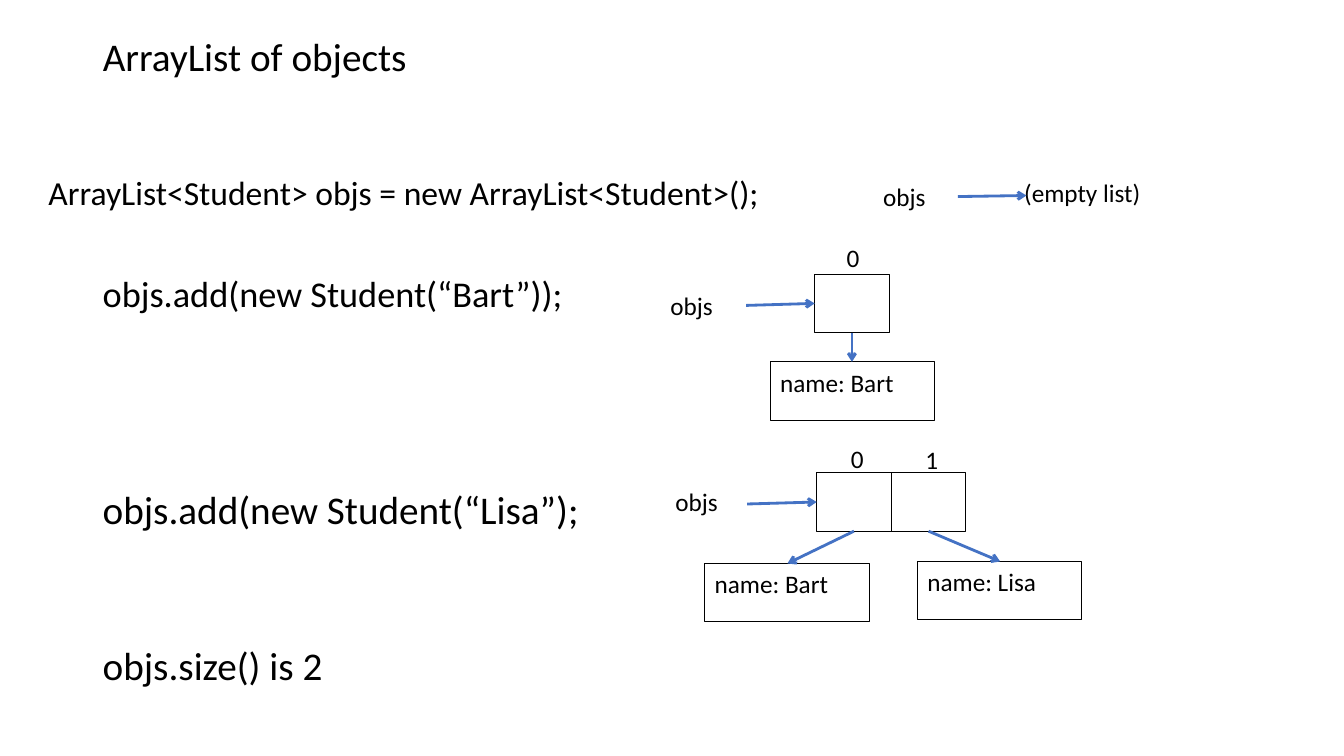
from lxml import etree
from pptx import Presentation
from pptx.dml.color import RGBColor
from pptx.enum.shapes import MSO_CONNECTOR, MSO_SHAPE
from pptx.enum.text import MSO_ANCHOR, MSO_AUTO_SIZE, PP_ALIGN
from pptx.oxml.ns import qn
from pptx.util import Inches, Pt

COLORS = {"text": "000000", "outline": "000000", "arrow": "4472C4"}
CELL_W, BOX_H, STUDENT_W = 0.74, 0.58, 1.63

prs = Presentation()
prs.slide_width, prs.slide_height = Inches(13.33), Inches(7.5)
slide = prs.slides.add_slide(prs.slide_layouts[1])
shapes = slide.shapes


def write(shape, text, size, spacing=1.0, before=0):
    """Put one left-aligned line at the top of a shape."""
    frame = shape.text_frame
    frame.word_wrap = True
    frame.auto_size = MSO_AUTO_SIZE.NONE
    frame.vertical_anchor = MSO_ANCHOR.TOP
    paragraph = frame.paragraphs[0]
    paragraph.alignment = PP_ALIGN.LEFT
    paragraph.line_spacing = spacing
    paragraph.space_before = Pt(before)
    run = paragraph.add_run()
    run.text = text
    run.font.size = Pt(size)
    run.font.name = "Calibri"
    run.font.color.rgb = RGBColor.from_string(COLORS["text"])


def add_box(left, top, width, text=""):
    """Draw an outlined box, with a text if one is given."""
    box = shapes.add_shape(MSO_SHAPE.RECTANGLE, Inches(left), Inches(top),
                           Inches(width), Inches(BOX_H))
    box.shadow.inherit = False
    box.fill.background()
    box.line.color.rgb = RGBColor.from_string(COLORS["outline"])
    box.line.width = Pt(0.75)
    if text:
        write(box, text, 18)


# Title and code statements: the first two use the placeholders
title, first_statement = shapes.title, slide.placeholders[1]
statements = [
    (title, "ArrayList of objects", 0.92, 0.32, 4.58, 28),
    (first_statement, "ArrayList<Student> objs = new ArrayList<Student>();",
     0.38, 1.7, 7.43, 24),
    (None, "objs.add(new Student(“Bart”));", 0.92, 2.69, 5.02, 25.9),
    (None, "objs.add(new Student(“Lisa”);", 0.92, 4.82, 5.02, 28),
    (None, "objs.size() is 2", 0.92, 6.37, 5.02, 28),
]
for holder, text, left, top, width, size in statements:
    area = Inches(left), Inches(top), Inches(width), Inches(0.8)
    if holder is None:
        holder = shapes.add_textbox(*area)
    else:
        holder.left, holder.top, holder.width, holder.height = area
    write(holder, text, size, spacing=0.9, before=10)

bullet_props = first_statement.text_frame.paragraphs[0]._p.get_or_add_pPr()
bullet_props.set("marL", "0")
bullet_props.set("indent", "0")
etree.SubElement(bullet_props, qn("a:buNone"))

# List cells and the students they refer to
for left, top in [(8.08, 2.72), (8.1, 4.69), (8.1 + CELL_W, 4.69)]:
    add_box(left, top, CELL_W)
for name, left, top in [("Bart", 7.64, 3.59), ("Bart", 6.99, 5.59),
                        ("Lisa", 9.1, 5.57)]:
    add_box(left, top, STUDENT_W, f"name: {name}")

# Variable names, cell indexes and the empty list
labels = [
    ("objs", 8.66, 1.75, 0.84), ("(empty list)", 10.06, 1.71, 1.43),
    ("objs", 6.55, 2.83, 0.84), ("0", 8.3, 2.36, 0.36),
    ("objs", 6.6, 4.78, 0.84), ("0", 8.34, 4.35, 0.36),
    ("1", 9.08, 4.36, 0.36),
]
for text, left, top, width in labels:
    label = shapes.add_textbox(Inches(left), Inches(top), Inches(width), Inches(0.4))
    write(label, text, 18)

# References: from variable to list, and from cell to student
references = [
    (9.5, 1.95, 10.18, 1.94),
    (7.4, 3.03, 8.08, 3.01), (8.45, 3.3, 8.45, 3.59),
    (7.41, 5, 8.1, 4.98), (8.47, 5.27, 7.81, 5.59), (9.21, 5.27, 9.92, 5.57),
]
for ends in references:
    arrow = shapes.add_connector(MSO_CONNECTOR.STRAIGHT, *map(Inches, ends))
    arrow.line.color.rgb = RGBColor.from_string(COLORS["arrow"])
    arrow.line.width = Pt(2)
    etree.SubElement(arrow.line._get_or_add_ln(), qn("a:tailEnd"), type="arrow")
    etree.SubElement(arrow._element.spPr, qn("a:effectLst"))

prs.save("out.pptx")
